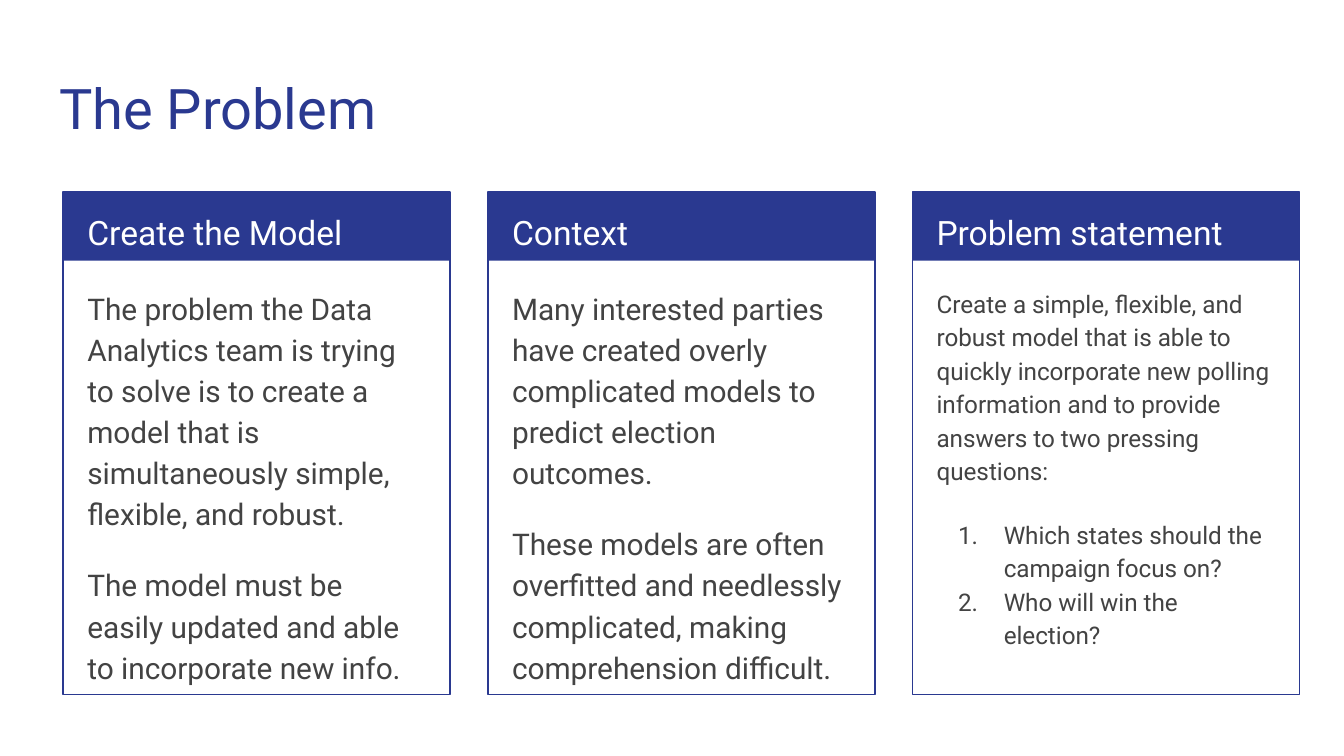
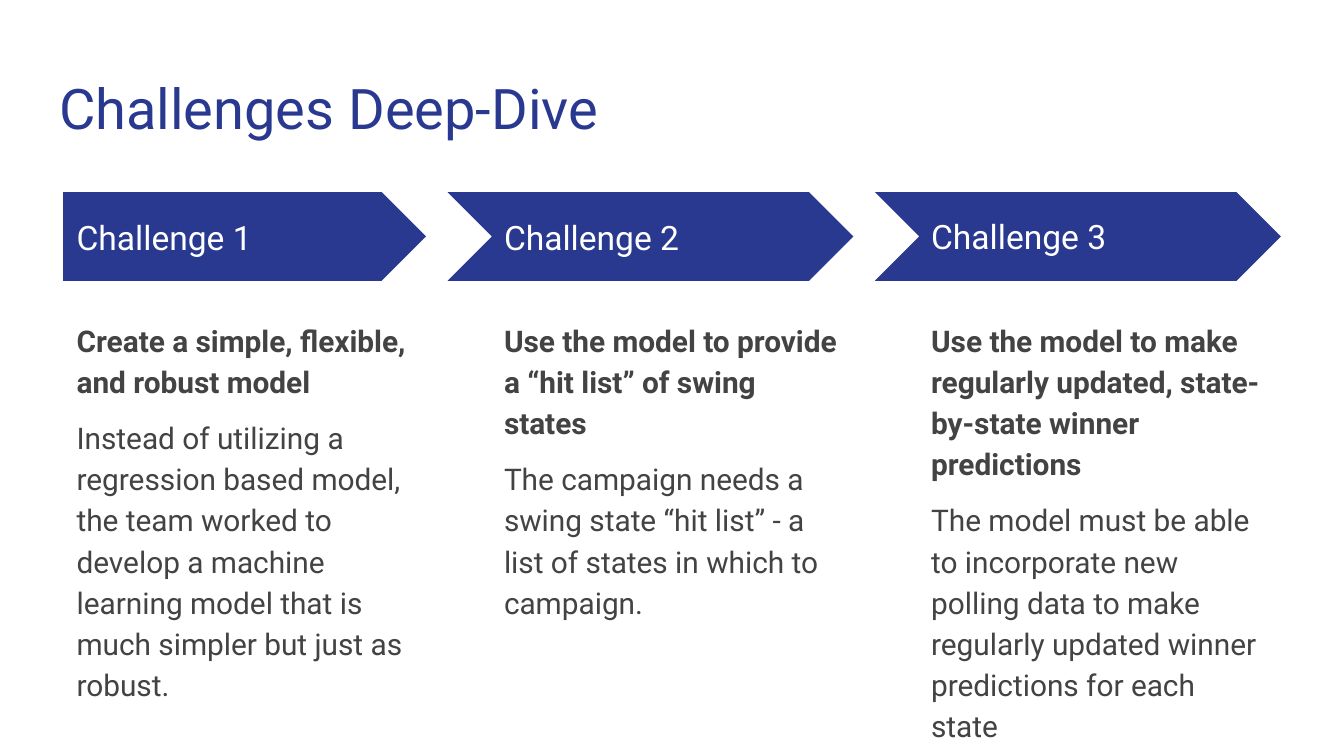
from dataclasses import dataclass
from typing import Iterator, Optional

from lxml.etree import SubElement
from pptx import Presentation
from pptx.dml.color import RGBColor
from pptx.enum.shapes import MSO_SHAPE as Preset
from pptx.enum.text import MSO_ANCHOR as Anchor, MSO_AUTO_SIZE as AutoSize, PP_ALIGN as Align
from pptx.oxml.ns import qn
from pptx.util import Inches, Pt

# Shared look
NAVY = RGBColor(0x2A, 0x39, 0x90)
GRAY = RGBColor(0x43, 0x43, 0x43)
WHITE = RGBColor(0xFF, 0xFF, 0xFF)
FONT = "Roboto"
INSET = Inches(0.1)
BODY_SPACING = 1.15
COMPARISON_LAYOUT = 4

# Shared grid, in inches
LEFT, TOP = 0.47, 1.43
CARD_PITCH, CARD_WIDTH, CARD_HEIGHT, CARD_HEADER = 3.16, 2.88, 3.74, 0.51
CARD_PAD = 0.08
STEP_PITCH, STEP_WIDTH, STEP_HEIGHT, CHEVRON_NOTCH = 3.18, 2.7, 0.66, 0.32


@dataclass(frozen=True)
class Box:
    left: float
    top: float
    width: float
    height: float

    def lengths(self) -> tuple:
        return tuple(Inches(side) for side in (self.left, self.top, self.width, self.height))


@dataclass(frozen=True)
class Para:
    text: str
    size: float = 16
    color: RGBColor = GRAY
    bold: bool = False
    before: float = 0
    after: float = 0
    spacing: float = BODY_SPACING
    numbered: bool = False


@dataclass(frozen=True)
class Column:
    heading: str
    body: tuple[Para, ...]


CARDS = (
    Column("Create the Model", (
        Para("The problem the Data Analytics team is trying to solve is to create a model "
             "that is simultaneously simple, flexible, and robust."),
        Para("The model must be easily updated and able to incorporate new info.",
             before=16, after=16),
    )),
    Column("Context", (
        Para("Many interested parties have created overly complicated models to predict "
             "election outcomes."),
        Para("These models are often overfitted and needlessly complicated, making "
             "comprehension difficult.", before=16, after=16),
    )),
    Column("Problem statement", (
        Para("Create a simple, flexible, and robust model that is able to quickly incorporate "
             "new polling information and to provide answers to two pressing questions:", 13),
        Para("Which states should the campaign focus on?", 13, before=16, numbered=True),
        Para("Who will win the election?", 13, numbered=True),
    )),
)


def challenge(number: int, goal: str, detail: str) -> Column:
    return Column(f"Challenge {number}",
                  (Para(goal, bold=True), Para(detail, before=8, after=8)))


CHALLENGES = (
    challenge(1, "Create a simple, flexible, and robust model",
              "Instead of utilizing a regression based model, the team worked to develop a "
              "machine learning model that is much simpler but just as robust."),
    challenge(2, "Use the model to provide a “hit list” of swing states",
              "The campaign needs a swing state “hit list” - a list of states in which "
              "to campaign."),
    challenge(3, "Use the model to make regularly updated, state-by-state winner predictions",
              "The model must be able to incorporate new polling data to make regularly "
              "updated winner predictions for each state"),
)


def format_paragraph(paragraph, para: Para) -> None:
    paragraph.text = para.text
    paragraph.alignment = Align.LEFT
    paragraph.line_spacing = para.spacing
    paragraph.space_before = Pt(para.before)
    paragraph.space_after = Pt(para.after)
    for run in paragraph.runs:
        run.font.name = FONT
        run.font.size = Pt(para.size)
        run.font.bold = para.bold
        run.font.color.rgb = para.color

    # Numbering, or no bullet at all
    props = paragraph._p.get_or_add_pPr()
    props.set("marL", str(Inches(0.5) if para.numbered else 0))
    props.set("indent", str(Inches(-0.34) if para.numbered else 0))
    if para.numbered:
        bullet_color = SubElement(props, qn("a:buClr"))
        SubElement(bullet_color, qn("a:srgbClr"), val=str(para.color))
        SubElement(props, qn("a:buFont"), typeface=FONT)
        SubElement(props, qn("a:buAutoNum"), type="arabicPeriod")
    else:
        SubElement(props, qn("a:buNone"))


def fill_text(holder, box: Box, paras: tuple[Para, ...], anchor=Anchor.TOP) -> None:
    holder.left, holder.top, holder.width, holder.height = box.lengths()
    holder.element.getparent().append(holder.element)  # in front of the bands
    frame = holder.text_frame
    frame.word_wrap = True
    frame.auto_size = AutoSize.NONE
    frame.vertical_anchor = anchor
    frame.margin_left = frame.margin_top = frame.margin_right = frame.margin_bottom = INSET
    for index, para in enumerate(paras):
        paragraph = frame.add_paragraph() if index else frame.paragraphs[0]
        format_paragraph(paragraph, para)


def text_holders(slide) -> Iterator:
    """Yield the layout's body placeholders, then text boxes as needed."""
    yield from [holder for holder in slide.placeholders if holder.placeholder_format.idx]
    while True:
        yield slide.shapes.add_textbox(0, 0, 0, 0)


def add_preset(shapes, preset, box: Box, fill: Optional[RGBColor] = None,
               line: Optional[RGBColor] = None):
    shape = shapes.add_shape(preset, *box.lengths())
    shape.shadow.inherit = False
    if fill is None:
        shape.fill.background()
    else:
        shape.fill.solid()
        shape.fill.fore_color.rgb = fill
    if line is None:
        shape.line.fill.background()
    else:
        shape.line.color.rgb = line
        shape.line.width = Pt(0.75)
    return shape


def add_titled_slide(deck, title: str):
    slide = deck.slides.add_slide(deck.slide_layouts[COMPARISON_LAYOUT])
    fill_text(slide.shapes.title, Box(0.34, 0.45, 9.32, 0.66),
              (Para(title, 30, NAVY, spacing=1.0),))
    return slide


def add_card(slide, holders: Iterator, card: Column, left: float) -> None:
    panel = slide.shapes.add_group_shape().shapes
    add_preset(panel, Preset.RECTANGLE, Box(left, TOP, CARD_WIDTH, CARD_HEADER), fill=NAVY)
    add_preset(panel, Preset.RECTANGLE, Box(left, TOP, CARD_WIDTH, CARD_HEIGHT), line=NAVY)
    text_left = left + CARD_PAD
    fill_text(next(holders), Box(text_left, TOP, 2.73, 0.5), (Para(card.heading, 18, WHITE),))
    fill_text(next(holders), Box(text_left, 2.02, 2.71, 3.06), card.body)


def add_step(slide, holders: Iterator, step: Column, left: float, first: bool) -> None:
    notch = 0 if first else CHEVRON_NOTCH
    arrow = add_preset(slide.shapes, Preset.PENTAGON if first else Preset.CHEVRON,
                       Box(left - notch, TOP, STEP_WIDTH + notch, STEP_HEIGHT), fill=NAVY)
    arrow.adjustments[0] = 0.5
    fill_text(next(holders), Box(left, 1.59, 2.47, 0.34),
              (Para(step.heading, 18, WHITE, spacing=1.0),), Anchor.MIDDLE)
    fill_text(next(holders), Box(left, 2.26, STEP_WIDTH, 2.9), step.body)


def main() -> None:
    deck = Presentation()
    deck.slide_width = Inches(10)
    deck.slide_height = Inches(10) * 9 // 16  # widescreen

    # The problem: three cards
    problem = add_titled_slide(deck, "The Problem")
    holders = text_holders(problem)
    for index, card in enumerate(CARDS):
        add_card(problem, holders, card, LEFT + index * CARD_PITCH)

    # Challenges: a row of arrows with text below
    deep_dive = add_titled_slide(deck, "Challenges Deep-Dive")
    holders = text_holders(deep_dive)
    for index, step in enumerate(CHALLENGES):
        add_step(deep_dive, holders, step, LEFT + index * STEP_PITCH, first=index == 0)

    deck.save("out.pptx")


if __name__ == "__main__":
    main()
